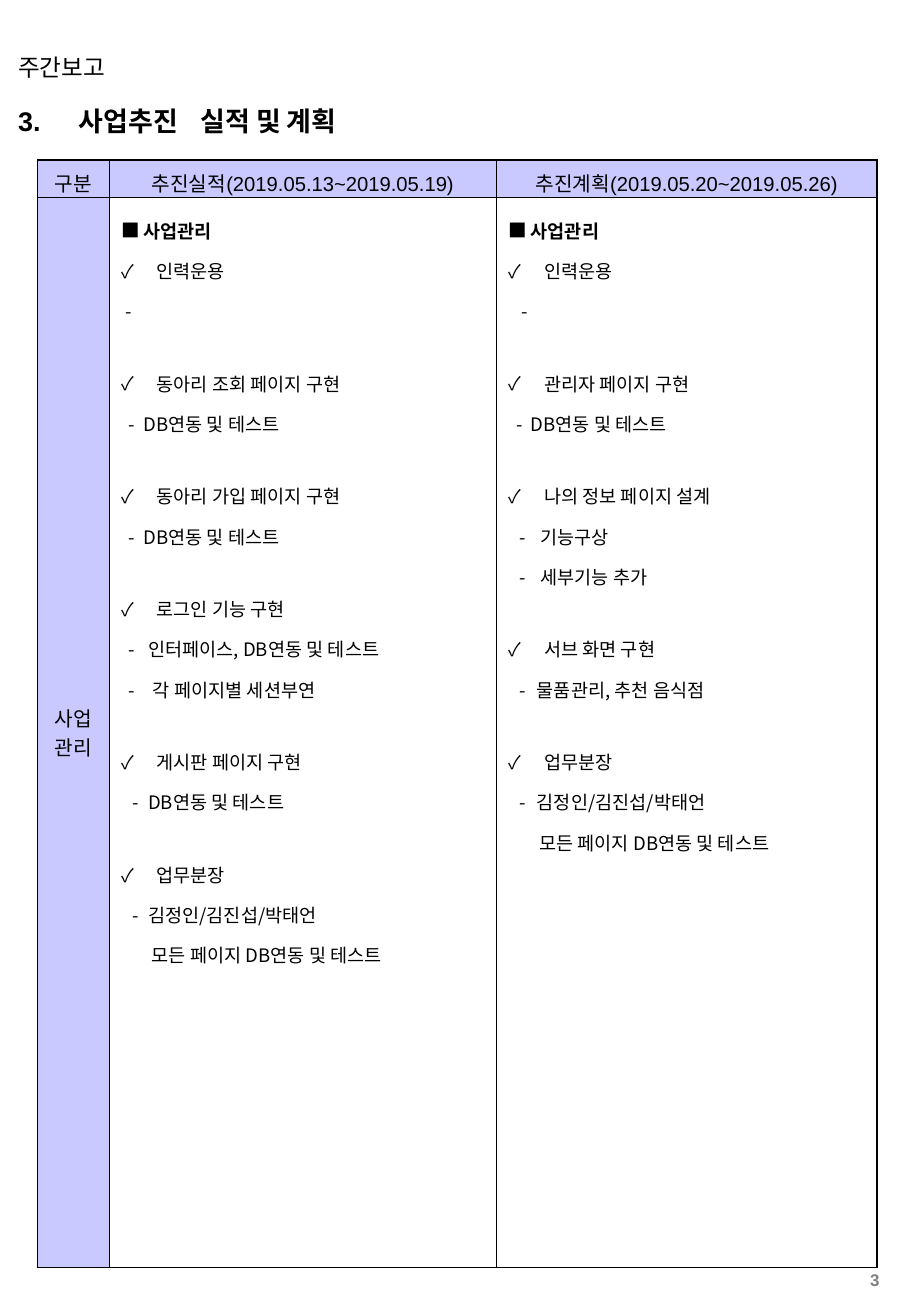
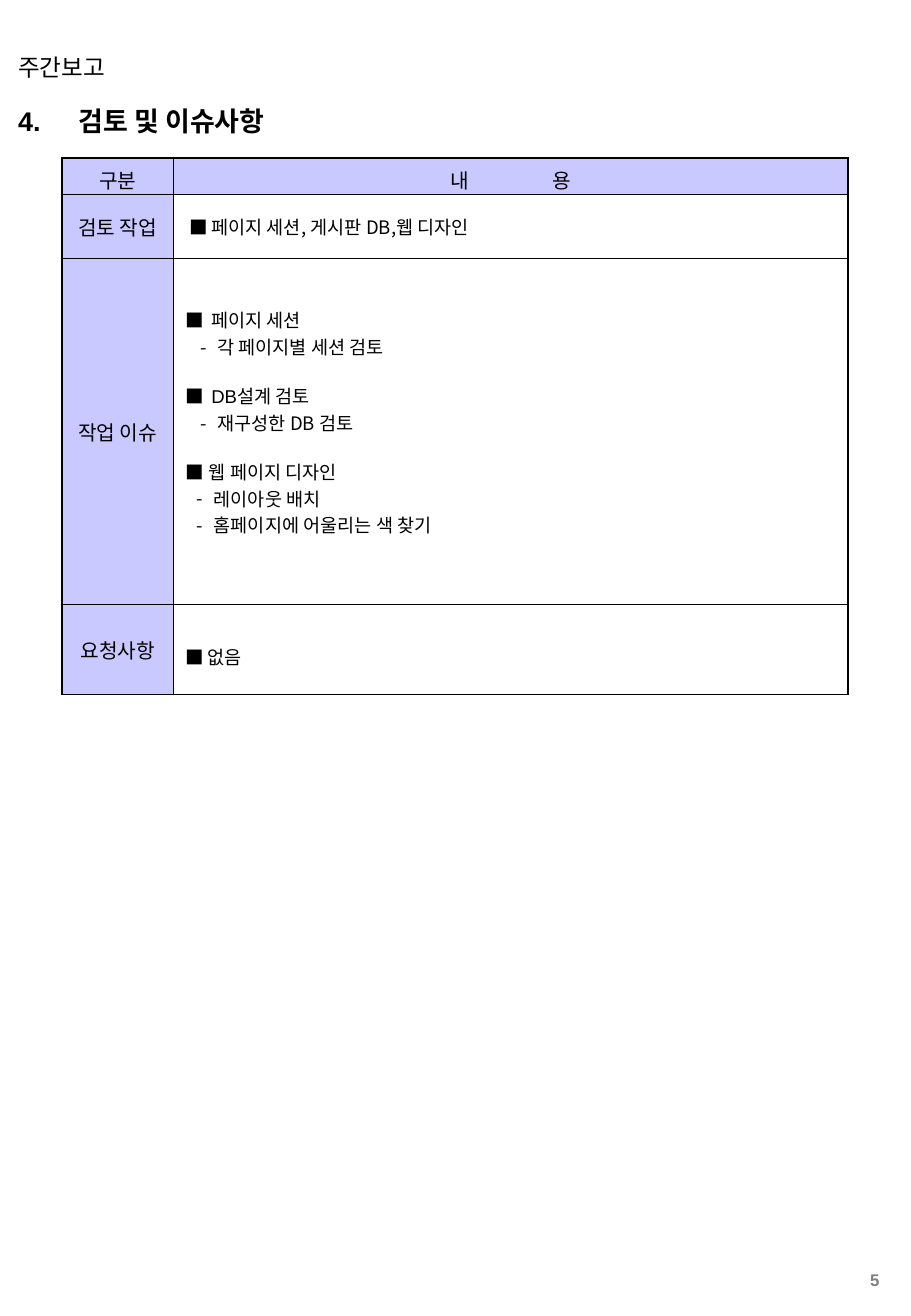
import pptx
import pptx.util
import pptx.dml.color
import pptx.enum.text
import pptx.oxml.ns
from lxml import etree

PX = 9144
COLORS = {"ink": "000000", "band": "C9C9FF", "page": "808080"}
LATIN, KOREAN = "Arial", "Noto Sans CJK KR"
THICK, THIN = 1.08, 0.45
ALIGN = pptx.enum.text.PP_ALIGN
ANCHOR = pptx.enum.text.MSO_ANCHOR

HEADING, CHECK, DASH = "■", "✓", "-"
BLOCK_GAP = 19
RESULTS = [
    (HEADING, 0, 18, "사업관리", {"bold": True}),
    (CHECK, 0, 29, "인력운용", {}),
    (None, 3, 3, "-", {}),
    (CHECK, 0, 29, "동아리 조회 페이지 구현", {"before": BLOCK_GAP}),
    (DASH, 6, 18, "DB연동 및 테스트", {}),
    (CHECK, 0, 29, "동아리 가입 페이지 구현", {"before": BLOCK_GAP}),
    (DASH, 6, 18, "DB연동 및 테스트", {}),
    (CHECK, 0, 29, "로그인 기능 구현", {"before": BLOCK_GAP}),
    (DASH, 6, 22, "인터페이스, DB연동 및 테스트", {}),
    (DASH, 6, 26, "각 페이지별 세션부연", {}),
    (CHECK, 0, 29, "게시판 페이지 구현", {"before": BLOCK_GAP}),
    (DASH, 9, 22, "DB연동 및 테스트", {}),
    (CHECK, 0, 29, "업무분장", {"before": BLOCK_GAP}),
    (DASH, 9, 22, "김정인/김진섭/박태언", {}),
    (None, 25, 25, "모든 페이지 DB연동 및 테스트", {}),
]
PLANS = [
    (HEADING, 0, 18, "사업관리", {"bold": True}),
    (CHECK, 0, 29, "인력운용", {}),
    (None, 10, 10, "-", {}),
    (CHECK, 0, 29, "관리자 페이지 구현", {"before": BLOCK_GAP}),
    (DASH, 6, 18, "DB연동 및 테스트", {}),
    (CHECK, 0, 29, "나의 정보 페이지 설계", {"before": BLOCK_GAP}),
    (DASH, 9, 26, "기능구상", {}),
    (DASH, 9, 26, "세부기능 추가", {}),
    (CHECK, 0, 29, "서브 화면 구현", {"before": BLOCK_GAP}),
    (DASH, 9, 23, "물품관리, 추천 음식점", {}),
    (CHECK, 0, 29, "업무분장", {"before": BLOCK_GAP}),
    (DASH, 9, 23, "김정인/김진섭/박태언", {}),
    (None, 25, 25, "모든 페이지 DB연동 및 테스트", {}),
]
REVIEW = [(HEADING, 3, 21, "페이지 세션, 게시판 DB,웹 디자인", {})]
ISSUES = [
    (HEADING, 0, 21, "페이지 세션", {"font": LATIN}),
    (DASH, 12, 26, "각 페이지별 세션 검토", {}),
    (HEADING, 0, 21, "DB설계 검토", {"font": LATIN, "before": 13}),
    (DASH, 12, 26, "재구성한 DB 검토", {}),
    (HEADING, 0, 19, "웹 페이지 디자인", {"before": 13}),
    (DASH, 9, 23, "레이아웃 배치", {}),
    (DASH, 9, 23, "홈페이지에 어울리는 색 찾기", {}),
]
REQUESTS = [(HEADING, 0, 18, "없음", {})]


def sub(parent, tag, **attrs):
    """Append a DrawingML element."""
    el = etree.SubElement(parent, pptx.oxml.ns.qn("a:" + tag))
    for key, value in attrs.items():
        el.set(key, str(value))
    return el


def add_text(tf, text, size=12, font=LATIN, color="ink", bold=False, align=ALIGN.LEFT,
             spacing=None, before=0, marker=None, mark_x=0, text_x=0, tabs=(), gap=0):
    """Write one formatted paragraph; gap widens the first space, in points."""
    p = tf.add_paragraph() if tf.text else tf.paragraphs[0]
    pPr = p._p.get_or_add_pPr()
    pPr.set("marL", str(text_x * PX))
    pPr.set("indent", str((mark_x - text_x) * PX))
    if marker:
        sub(sub(pPr, "buClr"), "srgbClr", val=COLORS[color])
        sub(pPr, "buFont", typeface=KOREAN)
        sub(pPr, "buChar", char=marker)
    else:
        sub(pPr, "buNone")
    if tabs:
        tab_list = sub(pPr, "tabLst")
        for tab in tabs:
            sub(tab_list, "tab", pos=tab * PX, algn="l")
    p.alignment = align
    p.space_before = pptx.util.Pt(before)
    if spacing:
        p.line_spacing = spacing
    for part in text.partition(" ") if gap else [text]:
        r = p.add_run()
        r.text = part
        r.font.size = pptx.util.Pt(size)
        r.font.bold = bold
        r.font.color.rgb = pptx.dml.color.RGBColor.from_string(COLORS[color])
        r.font.name = font
        rPr = r._r.get_or_add_rPr()
        sub(rPr, "ea", typeface=KOREAN)
        if part == " ":
            rPr.set("spc", str(gap * 100))


def fill_box(sp, box, text, **fmt):
    """Place a text shape in its box and write its line."""
    sp.left, sp.top, sp.width, sp.height = [v * PX for v in box]
    tf = sp.text_frame
    tf.word_wrap = True
    tf.auto_size = pptx.enum.text.MSO_AUTO_SIZE.NONE
    tf.vertical_anchor = ANCHOR.MIDDLE
    tf.margin_left = tf.margin_right = 10 * PX
    tf.margin_top = tf.margin_bottom = 5 * PX
    add_text(tf, text, **fmt)


def report_slide(prs, title, tabs, page):
    """Add a slide with the report name, section title and page number."""
    s = prs.slides.add_slide(prs.slide_layouts[5])
    fill_box(s.shapes.title, (5, 81, 536, 37), title, size=16, bold=True, tabs=tabs)
    fill_box(s.shapes.add_textbox(0, 0, 0, 0), (5, 38, 595, 34), "주간보고", size=14)
    fill_box(s.shapes.add_textbox(0, 0, 0, 0), (678, 1042, 56, 24), page,
             size=10, bold=True, color="page", align=ALIGN.RIGHT)
    return s


def style_cell(cell, widths, banded, anchor, top=5, bottom=5):
    """Set the borders, fill and margins of a cell."""
    tcPr = cell._tc.get_or_add_tcPr()
    for side, width in zip("LRTB", widths):
        ln = sub(tcPr, "ln" + side, w=pptx.util.Pt(width))
        sub(sub(ln, "solidFill"), "srgbClr", val=COLORS["ink"])
    if banded:
        cell.fill.solid()
        cell.fill.fore_color.rgb = pptx.dml.color.RGBColor.from_string(COLORS["band"])
    else:
        cell.fill.background()
    cell.vertical_anchor = anchor
    cell.margin_left = cell.margin_right = 10 * PX
    cell.margin_top, cell.margin_bottom = top * PX, bottom * PX


def report_table(s, left, top, cols, rows, headers, body, anchor, spacings,
                 gap=0, base=THICK, bottoms=None):
    """Draw a table with a header row, label column and bulleted cells."""
    shape = s.shapes.add_table(len(rows), len(cols), left * PX, top * PX,
                               sum(cols) * PX, sum(rows) * PX)
    table = shape.table
    table.first_row = table.horz_banding = False
    for col, width in zip(table.columns, cols):
        col.width = width * PX
    for row, height in zip(table.rows, rows):
        row.height = height * PX
    for i in range(len(rows)):
        for j in range(len(cols)):
            cell = table.cell(i, j)
            widths = (THIN if j else THICK,
                      THICK if j == len(cols) - 1 else THIN,
                      THIN if i else THICK,
                      base if i == len(rows) - 1 else THIN)
            if i == 0:
                style_cell(cell, widths, True, ANCHOR.MIDDLE, top=6, bottom=0)
                add_text(cell.text_frame, headers[j], align=ALIGN.CENTER, gap=gap if j else 0)
            elif j == 0:
                style_cell(cell, widths, True, ANCHOR.MIDDLE)
                for line in body[i - 1][0]:
                    add_text(cell.text_frame, line, align=ALIGN.CENTER)
            else:
                style_cell(cell, widths, False, anchor, bottom=bottoms[i - 1] if bottoms else 5)
                for marker, mark_x, text_x, text, fmt in body[i - 1][j]:
                    add_text(cell.text_frame, text, marker=marker, mark_x=mark_x, text_x=text_x,
                             spacing=spacings[i - 1], **{"size": 11, "font": KOREAN, **fmt})


def main():
    """Build the weekly report."""
    prs = pptx.Presentation()
    prs.slide_width, prs.slide_height = 750 * PX, 1084 * PX

    s = report_slide(prs, "3.\t사업추진\t실적 및 계획", (29, 123), "3")
    report_table(s, 31, 132, (59, 319, 313), (30, 882),
                 ("구분", "추진실적(2019.05.13~2019.05.19)", "추진계획(2019.05.20~2019.05.26)"),
                 [(("사업", "관리"), RESULTS, PLANS)], ANCHOR.TOP, (1.5,), base=THIN)

    s = report_slide(prs, "4.\t검토 및 이슈사항", (35,), "5")
    report_table(s, 51, 130, (92, 555), (30, 53, 285, 74), ("구분", "내 용"),
                 [(("검토 작업",), REVIEW), (("작업 이슈",), ISSUES), (("요청사항",), REQUESTS)],
                 ANCHOR.MIDDLE, (None, None, 1.5), gap=47, bottoms=(5, 21, 5))

    prs.save("out.pptx")


if __name__ == "__main__":
    main()
